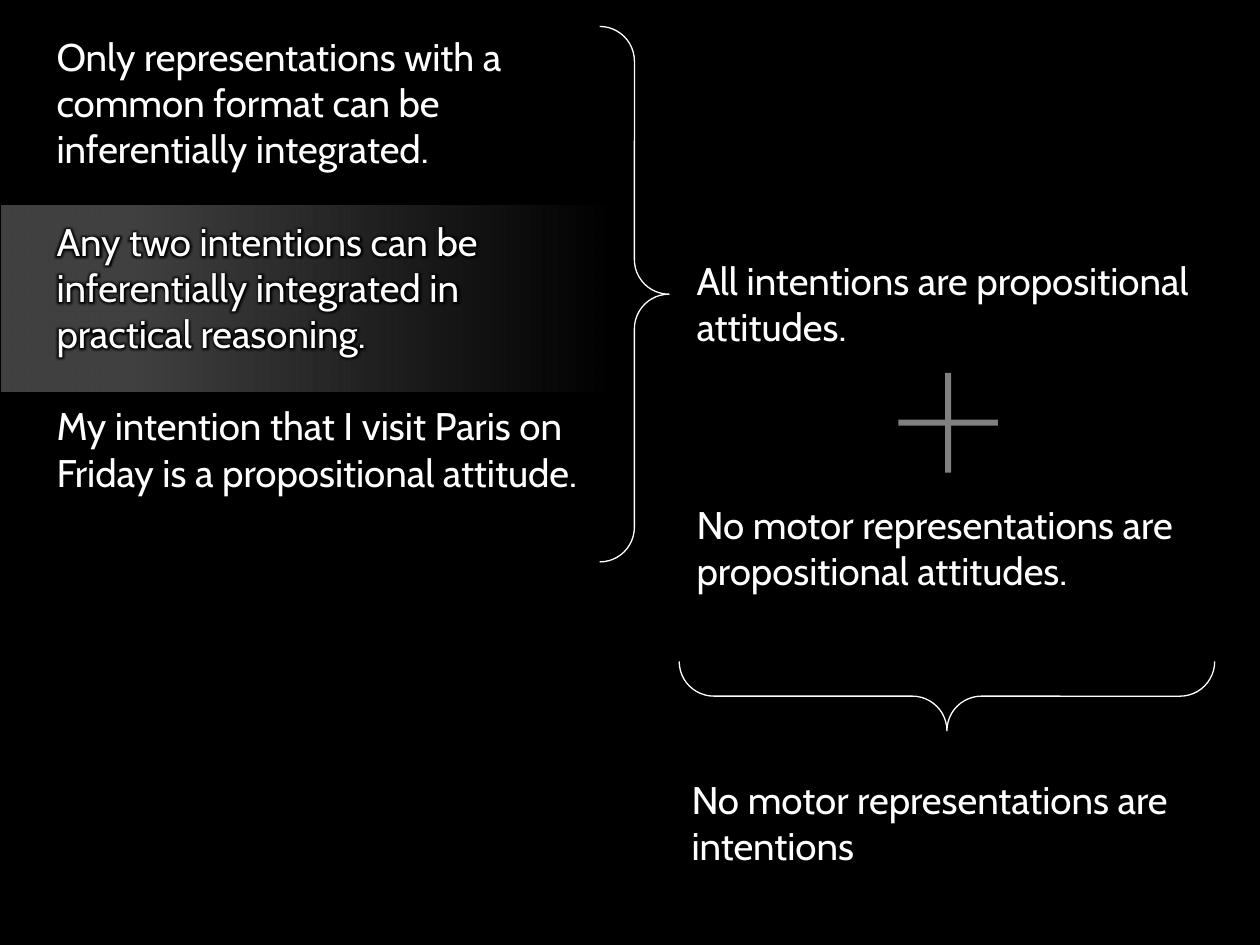
from lxml.etree import SubElement
from pptx import Presentation
from pptx.dml.color import RGBColor
from pptx.enum.shapes import MSO_SHAPE
from pptx.enum.text import MSO_AUTO_SIZE
from pptx.oxml.ns import qn
from pptx.util import Inches, Pt

FONT = "Cabin"
SIZE = 22
PARAGRAPH_GAP = 26.5
WHITE = "FFFFFF"
BLACK = "000000"
BAND_GRAY = "404040"
PLUS_GRAY = "808080"


def rgb(color):
    return RGBColor.from_string(color)


def add_shape(slide, kind, box, adjustments=(), fill=None, line=None):
    sp = slide.shapes.add_shape(kind, *map(Inches, box))
    sp.shadow.inherit = False
    for i, value in enumerate(adjustments):
        sp.adjustments[i] = value
    if fill:
        sp.fill.solid()
        sp.fill.fore_color.rgb = rgb(fill)
    else:
        sp.fill.background()
    if line:
        sp.line.color.rgb = rgb(line)
        sp.line.width = Pt(0.75)
    else:
        sp.line.fill.background()
    return sp


def add_fading_band(slide, box):
    sp = add_shape(slide, MSO_SHAPE.RECTANGLE, box, line=BLACK)
    sp.fill.gradient()
    sp.fill.gradient_angle = 0
    stops = sp._element.spPr.find(qn("a:gradFill")).find(qn("a:gsLst"))
    for stop in list(stops):
        stops.remove(stop)
    for position, alpha in ((0, 100), (23, 100), (100, 0)):
        stop = SubElement(stops, qn("a:gs"), pos=str(position * 1000))
        color = SubElement(stop, qn("a:srgbClr"), val=BAND_GRAY)
        SubElement(color, qn("a:alpha"), val=str(alpha * 1000))


def add_brace(slide, box, rotation=0):
    sp = add_shape(slide, MSO_SHAPE.RIGHT_BRACE, box, (0.5, 0.5), line=WHITE)
    sp.rotation = rotation


def add_glow(r):
    effects = r.font._element.makeelement(qn("a:effectLst"), {})
    glow = SubElement(effects, qn("a:glow"), rad=str(Pt(5)))
    SubElement(glow, qn("a:srgbClr"), val=BLACK)
    r.font._element.find(qn("a:solidFill")).addnext(effects)


def add_text(slide, box, paragraphs, glowing=None):
    s = slide.shapes.add_textbox(*map(Inches, box))
    tf = s.text_frame
    tf.word_wrap = True
    tf.auto_size = MSO_AUTO_SIZE.SHAPE_TO_FIT_TEXT
    for i, text in enumerate(paragraphs):
        p = tf.add_paragraph() if i else tf.paragraphs[0]
        if i:
            p.space_before = Pt(PARAGRAPH_GAP)
        r = p.add_run()
        r.text = text
        r.font.name = FONT
        r.font.size = Pt(SIZE)
        r.font.color.rgb = rgb(WHITE)
        if i == glowing:
            add_glow(r)


def main():
    prs = Presentation()
    prs.slide_width, prs.slide_height = Inches(10), Inches(7.5)
    slide = prs.slides.add_slide(prs.slide_layouts[6])
    slide.background.fill.solid()
    slide.background.fill.fore_color.rgb = rgb(BLACK)

    add_fading_band(slide, (0, 1.62, 4.84, 1.5))
    premises = [
        "Only representations with a common format can be inferentially integrated.",
        "Any two intentions can be inferentially integrated in practical reasoning.",
        "My intention that I visit Paris on Friday is a propositional attitude.",
    ]
    add_text(slide, (0.35, 0.21, 4.49, 4.17), premises, glowing=1)
    add_text(slide, (5.43, 1.99, 5, 0.84),
             ["All intentions are propositional attitudes."])
    add_text(slide, (5.43, 3.93, 4.49, 0.84),
             ["No motor representations are propositional attitudes."])
    add_text(slide, (5.39, 6.11, 4.33, 0.84),
             ["No motor representations are intentions"])

    add_brace(slide, (4.76, 0.21, 0.55, 4.25))
    add_brace(slide, (7.24, 3.4, 0.55, 4.25), rotation=90)
    add_shape(slide, MSO_SHAPE.CROSS, (7.13, 2.96, 0.79, 0.79), (0.47,), PLUS_GRAY)

    prs.save("out.pptx")


if __name__ == "__main__":
    main()
